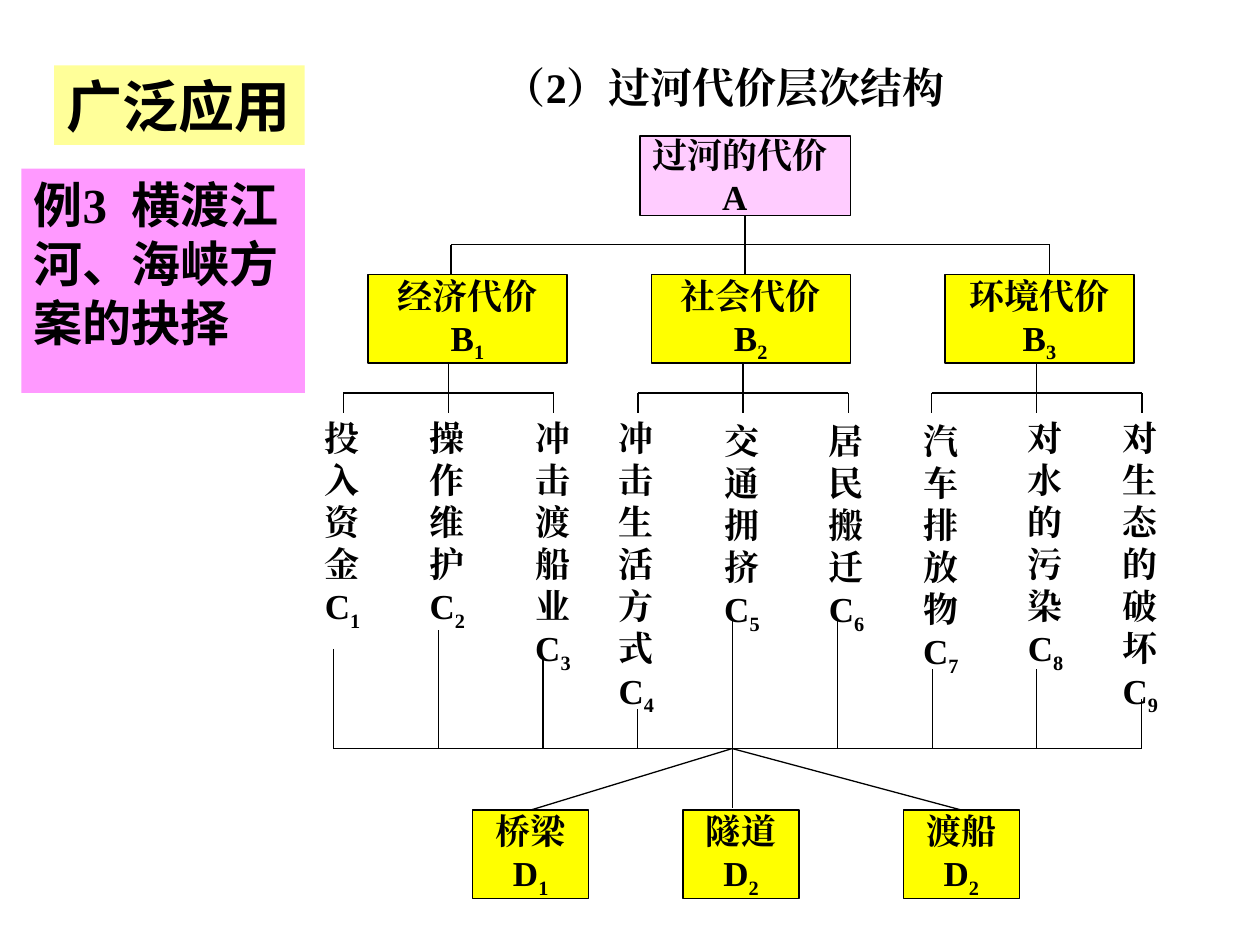
import pptx
import pptx.dml.color
import pptx.enum.shapes
import pptx.enum.text
import pptx.oxml.ns
import pptx.util
from lxml import etree

Cm = pptx.util.Cm
ALIGN = pptx.enum.text.PP_ALIGN
ANCHOR = pptx.enum.text.MSO_ANCHOR
SERIF = "Times New Roman"
SANS = "Noto Sans CJK SC"
TOP, BOTTOM = 0, 2


def color(value):
    return pptx.dml.color.RGBColor.from_string(value)


def apply_format(target, values):
    for name, value in values.items():
        setattr(target, name, value)


def format_frame(box, wrap, anchor):
    apply_format(box.text_frame, {
        "word_wrap": wrap,
        "vertical_anchor": anchor,
        "auto_size": pptx.enum.text.MSO_AUTO_SIZE.NONE,
    })


def paint(box, fill):
    box.fill.solid()
    box.fill.fore_color.rgb = color(fill)


def add_span(para, text, size, font=SERIF, subscript=False):
    span = para.add_run()
    span.text = text
    apply_format(span.font, {"size": pptx.util.Pt(size), "bold": True, "name": font})
    span.font.color.rgb = color("000000")
    properties = span._r.get_or_add_rPr()
    east_asian = etree.SubElement(properties, pptx.oxml.ns.qn("a:ea"))
    east_asian.set("typeface", font)
    if subscript:
        properties.set("baseline", "-25000")


def add_label(para, text, number):
    add_span(para, text, 20)
    add_span(para, number, 20, subscript=True)


def add_text(page, area, wrap=True):
    box = page.shapes.add_textbox(*map(Cm, area))
    format_frame(box, wrap, ANCHOR.TOP)
    return box


def add_box(page, area, fill):
    shape_type = pptx.enum.shapes.MSO_SHAPE.RECTANGLE
    box = page.shapes.add_shape(shape_type, *map(Cm, area))
    box.shadow.inherit = False
    paint(box, fill)
    box.line.color.rgb = color("000000")
    box.line.width = pptx.util.Pt(0.75)
    format_frame(box, False, ANCHOR.MIDDLE)
    return box


def add_node(page, area, caption, letter, number):
    box = add_box(page, area, "FFFF00")
    first = box.text_frame.paragraphs[0]
    second = box.text_frame.add_paragraph()
    add_span(first, caption, 20)
    add_label(second, letter, number)
    for para in (first, second):
        para.alignment = ALIGN.CENTER
    return box


def add_line(page, start, end):
    kind = pptx.enum.shapes.MSO_CONNECTOR.STRAIGHT
    line = page.shapes.add_connector(kind, *map(Cm, start + end))
    line.line.color.rgb = color("000000")
    line.line.width = pptx.util.Pt(0.75)
    etree.SubElement(line._element.spPr, pptx.oxml.ns.qn("a:effectLst"))
    return line


def add_heading(page):
    title = page.shapes.title
    apply_format(title, {"left": Cm(1.09), "top": Cm(1.32),
                         "width": Cm(5.05), "height": Cm(1.6)})
    paint(title, "FFFF99")
    format_frame(title, False, ANCHOR.MIDDLE)
    para = title.text_frame.paragraphs[0]
    para.alignment = ALIGN.LEFT
    add_span(para, "广泛应用", 32, SANS)

    example = add_text(page, (0.43, 3.4, 5.72, 4.52))
    paint(example, "FF99FF")
    para = example.text_frame.paragraphs[0]
    para.line_spacing = 1.0
    add_span(para, "例", 28, SANS)
    add_span(para, "3  ", 28)
    add_span(para, "横渡江河、海峡方案的抉择", 28, SANS)

    subtitle = add_text(page, (9.91, 1.12, 9.73, 1.27))
    add_span(subtitle.text_frame.paragraphs[0], "（2）过河代价层次结构", 24)


def add_goal(page):
    goal = add_box(page, (12.9, 2.74, 4.24, 1.6), "FFCCFF")
    first = goal.text_frame.paragraphs[0]
    second = goal.text_frame.add_paragraph()
    add_span(first, "过河的代价", 20)
    add_span(second, "A", 20)
    for para in (first, second):
        para.alignment = ALIGN.LEFT
    second._p.get_or_add_pPr().set("marL", str(Cm(1.41)))
    return goal


def add_costs(page, goal):
    costs = [("经济代价", 7.42, 4.01), ("社会代价", 13.13, 4.01), ("环境代价", 19.05, 3.81)]
    for number, (caption, left, width) in enumerate(costs, 1):
        add_node(page, (left, 5.54, width, 1.78), caption, "B", str(number))
    rail = 4.93
    add_line(page, (9.09, rail), (21.16, rail))
    for x in (9.09, 21.16):
        add_line(page, (x, rail), (x, 5.54))
    add_line(page, (15.02, 4.34), (15.02, 5.54)).begin_connect(goal, BOTTOM)


def add_branches(page):
    rail, foot, reach = 7.92, 8.33, 2.12
    for center in (9.04, 14.98, 20.9):
        add_line(page, (center - reach, rail), (center + reach, rail))
        add_line(page, (center, 7.32), (center, foot))
        for x in (center - reach, center + reach):
            add_line(page, (x, rail), (x, foot))


def add_factors(page, rail):
    factors = [
        ("投入资金", 6.3, 8.28, 1.7, 6.73, 13.08),
        ("操作维护", 8.41, 8.28, 1.27, 8.84, 12.7),
        ("冲击渡船业", 10.54, 8.28, 1.27, 10.95, 13.28),
        ("冲击生活方式", 12.22, 8.28, 1.47, 12.85, 14.3),
        ("交通拥挤", 14.35, 8.33, 1.7, 14.76, 12.5),
        ("居民搬迁", 16.46, 8.33, 1.47, 16.89, 12.5),
        ("汽车排放物", 18.36, 8.33, 1.47, 18.8, 13.49),
        ("对水的污染", 20.47, 8.28, 1.47, 20.9, 13.49),
        ("对生态的破坏", 22.38, 8.28, 1.7, 23.01, 14.1),
    ]
    for number, (caption, left, top, width, x, start) in enumerate(factors, 1):
        height = 1.16 + 0.84 * len(caption)
        column = add_text(page, (left, top, width, height))
        add_label(column.text_frame.paragraphs[0], caption + "C", str(number))
        add_line(page, (x, start), (x, rail))
    add_line(page, (factors[0][4], rail), (factors[-1][4], rail))


def add_options(page, rail):
    hub = (14.76, rail)
    options = [("桥梁", "1", 9.53, True), ("隧道", "2", 13.77, False), ("渡船", "2", 18.21, True)]
    for caption, number, left, joined in options:
        box = add_node(page, (left, 16.33, 2.34, 1.78), caption, "D", number)
        line = add_line(page, hub, (hub[0], 16.28))
        if joined:
            line.end_connect(box, TOP)


def main():
    deck = pptx.Presentation()
    apply_format(deck, {"slide_width": Cm(25.4), "slide_height": Cm(19.05)})
    page = deck.slides.add_slide(deck.slide_layouts[5])
    rail = 15.09
    add_heading(page)
    goal = add_goal(page)
    add_costs(page, goal)
    add_branches(page)
    add_factors(page, rail)
    add_options(page, rail)
    deck.save("out.pptx")


if __name__ == "__main__":
    main()
